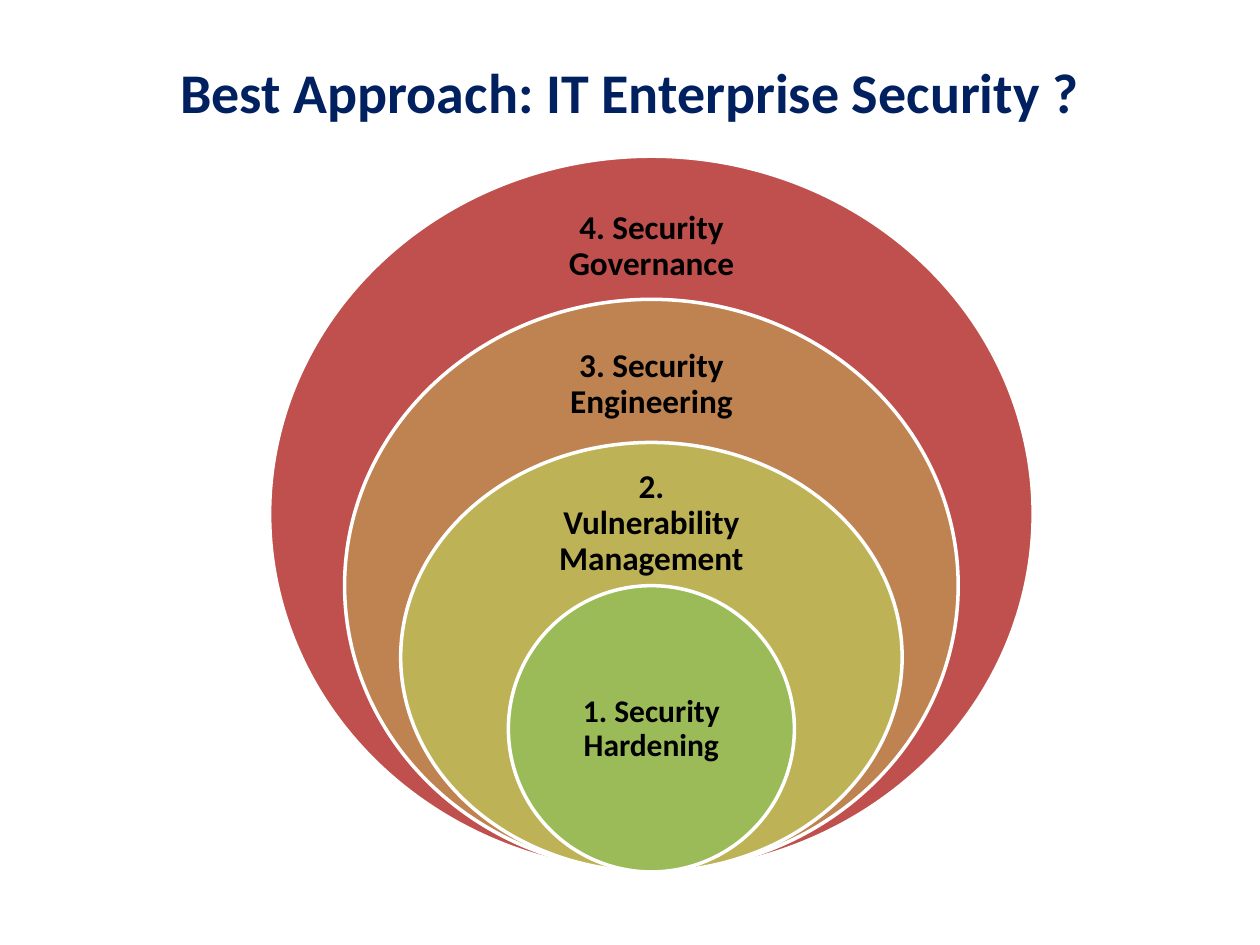
"""Builds a slide of nested security layers."""
from pptx import Presentation
from pptx import util as u
from pptx.dml.color import RGBColor
from pptx.enum import shapes, text

PX = 9144
FONT = "Calibri"
NAVY = RGBColor(0x00, 0x20, 0x60)
BLACK = RGBColor(0x00, 0x00, 0x00)
WHITE = RGBColor(0xFF, 0xFF, 0xFF)
RED = RGBColor(0xC0, 0x50, 0x4D)
ORANGE = RGBColor(0xBE, 0x83, 0x51)
OLIVE = RGBColor(0xBD, 0xB2, 0x55)
GREEN = RGBColor(0x9B, 0xBB, 0x59)

# label, colour, layer width, label (offset from layer top, width, height), inset, size
LAYERS = [
    ("4. Security Governance", RED, 606, (29, 169, 85), 15, 19),
    ("3. Security Engineering", ORANGE, 487, (27, 170, 82), 15, 19),
    ("2. Vulnerability Management", OLIVE, 398, (26, 186, 77), 15, 19),
    ("1. Security Hardening", GREEN, 227, (57, 161, 114), 14, 18),
]


def emu(*lengths):
    """Turn px lengths into EMU."""
    return [u.Emu(round(length * PX)) for length in lengths]


def write(frame, words, size, color):
    """Put centred bold words in a text frame."""
    frame.text = words
    frame.word_wrap = True
    frame.vertical_anchor = text.MSO_ANCHOR.MIDDLE
    line = frame.paragraphs[0]
    line.alignment = text.PP_ALIGN.CENTER
    font = line.runs[0].font
    font.name, font.size, font.bold = FONT, u.Pt(size), True
    font.color.rgb = color
    return line


def place_title(slide, box, words):
    """Move and fill the title placeholder."""
    title = slide.shapes.title
    title.left, title.top, title.width, title.height = emu(*box)
    write(title.text_frame, words, 32, NAVY)


def draw_layers(slide, box):
    """Stack ellipses that share a bottom and shrink by one fifth of the height."""
    left, top, width, height = box
    center = left + width / 2
    diagram = slide.shapes.add_group_shape().shapes
    for i, (words, color, layer_width, label_box, inset, size) in enumerate(LAYERS):
        drop = height * i / 5
        layer = diagram.add_shape(
            shapes.MSO_SHAPE.OVAL,
            *emu(center - layer_width / 2, top + drop, layer_width, height - drop))
        layer.shadow.inherit = False
        layer.fill.solid()
        layer.fill.fore_color.rgb = color
        layer.line.color.rgb = WHITE
        layer.line.width = u.Pt(2)

        offset, label_width, label_height = label_box
        label = diagram.add_textbox(
            *emu(center - label_width / 2, top + drop + offset, label_width, label_height))
        frame = label.text_frame
        frame.margin_left, frame.margin_top, frame.margin_right, frame.margin_bottom = emu(*[inset] * 4)
        write(frame, words, size, BLACK).line_spacing = 0.9


def main():
    """Build and save the slide."""
    deck = Presentation()
    deck.slide_width, deck.slide_height = emu(1000, 750)
    slide = deck.slides.add_slide(deck.slide_layouts[5])
    place_title(slide, (50, 23, 900, 98), "Best Approach: IT Enterprise Security ?")
    draw_layers(slide, (214, 124, 606, 568))
    deck.save("out.pptx")


if __name__ == "__main__":
    main()
